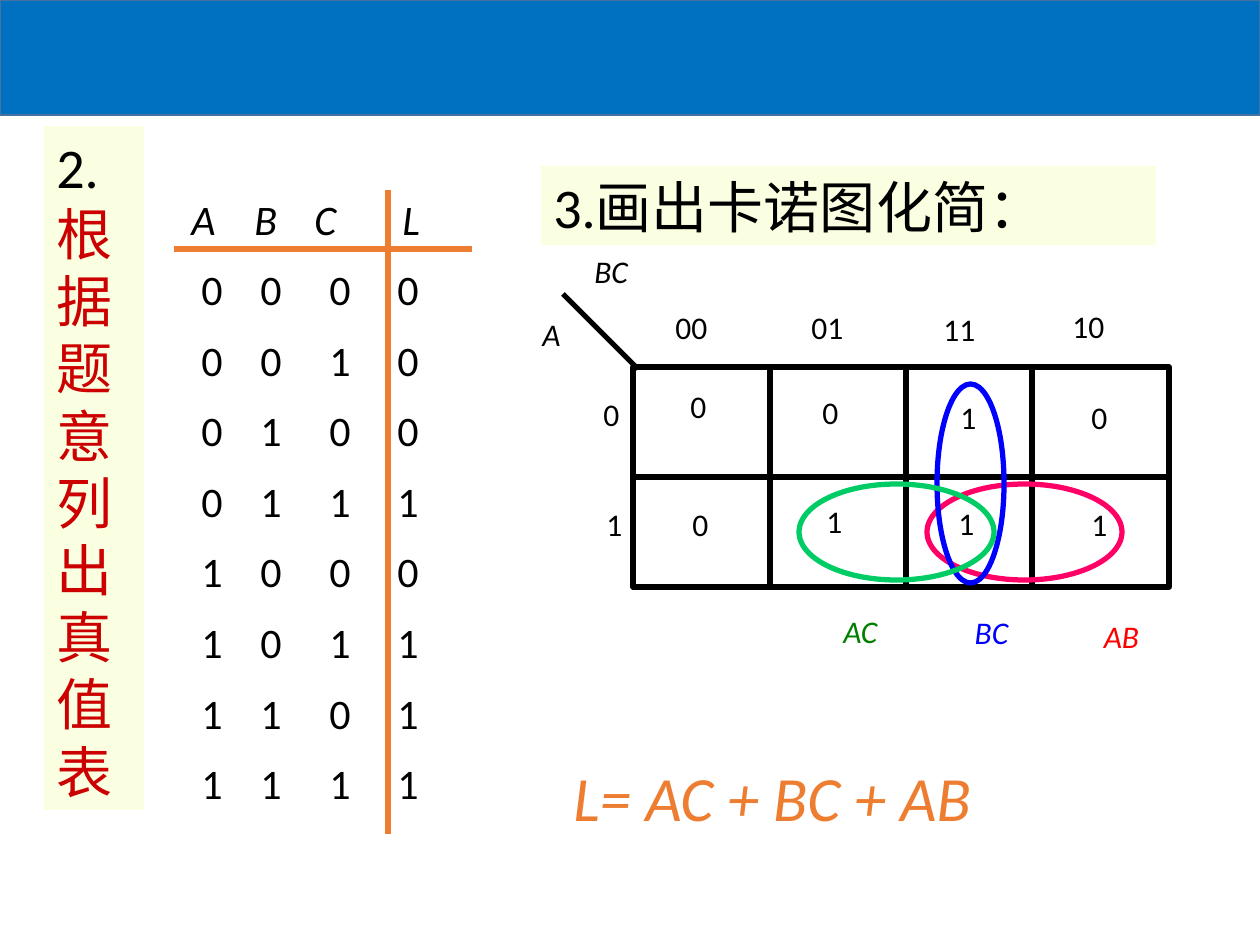
from itertools import product

from lxml import etree
from pptx import Presentation
from pptx.dml.color import RGBColor
from pptx.enum.shapes import MSO_CONNECTOR, MSO_SHAPE
from pptx.enum.text import MSO_ANCHOR, PP_ALIGN
from pptx.oxml.ns import qn
from pptx.util import Pt

STRAIGHT = MSO_CONNECTOR.STRAIGHT
RECTANGLE, OVAL = MSO_SHAPE.RECTANGLE, MSO_SHAPE.OVAL
TOP, MIDDLE = MSO_ANCHOR.TOP, MSO_ANCHOR.MIDDLE
LEFT, CENTER = PP_ALIGN.LEFT, PP_ALIGN.CENTER
PX = 914400 / 126
COLORS = {
    "bar": "0070C0", "bar line": "43739E", "cream": "FAFFE1", "black": "000000",
    "dark red": "CC0000", "orange": "ED7D31", "red": "FF0000", "pink": "FF0066",
    "blue": "0000FF", "green": "008000", "light green": "00CC66",
}

presentation = Presentation()
presentation.slide_width = round(1260 * PX)
presentation.slide_height = round(945 * PX)
slide = presentation.slides.add_slide(presentation.slide_layouts[6])
shapes = slide.shapes


def emu(*lengths):
    return [round(length * PX) for length in lengths]


def color(name):
    return RGBColor.from_string(COLORS[name])


def add_shape(kind, box, fill=None, line=None, width=3):
    shape = shapes.add_shape(kind, *emu(*box))
    shape.shadow.inherit = False
    if fill:
        shape.fill.solid()
        shape.fill.fore_color.rgb = color(fill)
    else:
        shape.fill.background()
    if line:
        shape.line.color.rgb = color(line)
        shape.line.width = Pt(width)
    else:
        shape.line.fill.background()
    return shape


# Each text: shape, size, colour, italic, alignment, anchor, wrap, lines
texts = []

# Header bar
add_shape(RECTANGLE, (0, 0, 1260, 115), "bar", "bar line", 1)

# Step headings
step_two = add_shape(RECTANGLE, (44, 126, 100, 684), "cream")
step_three = add_shape(RECTANGLE, (541, 166, 615, 79), "cream")
texts.append((step_two, 32, "black", False, LEFT, TOP, True, ["2."]))
texts.append((step_three, 32, "black", False, LEFT, TOP, True, ["3.画出卡诺图化简："]))

# Truth table: L is 1 when at least two inputs are 1
truth_rows = ["A\tB\tC\tL"]
for bits in product((0, 1), repeat=3):
    truth_rows.append("\t" + "\t".join(str(bit) for bit in (*bits, int(sum(bits) >= 2))))
truth_table = shapes.add_textbox(*emu(179, 187, 305, 674))
for index in range(len(truth_rows)):
    frame = truth_table.text_frame
    paragraph = frame.paragraphs[0] if index == 0 else frame.add_paragraph()
    stops = (63, 123, 211) if index == 0 else (10, 69, 138, 206)
    tab_list = etree.SubElement(paragraph._p.get_or_add_pPr(), qn("a:tabLst"))
    for stop in emu(*stops):
        etree.SubElement(tab_list, qn("a:tab"), pos=str(stop), algn="l")
texts.append((truth_table, 24, "black", False, LEFT, TOP, True, truth_rows))

# Karnaugh map outline
map_left, map_top, map_width, map_height = 633, 367, 536, 220
map_bottom = map_top + map_height
karnaugh_map = add_shape(RECTANGLE, (map_left, map_top, map_width, map_height), line="black")

# Rules of the truth table and of the map
lines = [
    ((174, 249, 472, 249), "orange"),
    ((388, 190, 388, 834), "orange"),
    ((638, 369, 563, 294), "black"),
    ((map_left, 477, map_left + map_width, 477), "black"),
]
lines += [((x, map_top, x, map_bottom), "black") for x in (770, 906, 1032)]
for ends, line_color in lines:
    connector = shapes.add_connector(STRAIGHT, *emu(*ends))
    connector.line.color.rgb = color(line_color)
    connector.line.width = Pt(3)
    etree.SubElement(connector._element.spPr, qn("a:effectLst"))
    if ends[0] == map_left:
        connector.begin_connect(karnaugh_map, 1)
        connector.end_connect(karnaugh_map, 3)

# Map labels and cell values: text, left, top, width
map_texts = [
    ("A", 530, 309, 72), ("BC", 582, 246, 107),
    ("0", 591, 389, 83), ("1", 594, 499, 72),
    ("00", 663, 302, 92), ("01", 799, 302, 92), ("11", 931, 304, 92), ("10", 1060, 301, 92),
    ("0", 678, 381, 48), ("0", 810, 387, 48), ("1", 948, 392, 48), ("0", 1079, 392, 48),
    ("0", 680, 499, 48), ("1", 814, 496, 48), ("1", 946, 498, 48), ("1", 1079, 499, 48),
]
for text, left, top, width in map_texts:
    label = shapes.add_textbox(*emu(left, top, width, 72))
    texts.append((label, 18, "black", text.isalpha(), LEFT, TOP, True, [text]))

# Circled groups and their product terms
groups = [
    ("AB", (927, 484, 195, 96), "pink", "red", (1076, 600)),
    ("BC", (937, 384, 67, 199), "blue", "blue", (946, 596)),
    ("AC", (799, 484, 195, 96), "light green", "green", (815, 595)),
]
for term, loop, loop_color, term_color, (left, top) in groups:
    add_shape(OVAL, loop, line=loop_color)
    label = shapes.add_textbox(*emu(left, top, 91, 72))
    texts.append((label, 18, term_color, True, CENTER, MIDDLE, False, [term]))

# Simplified expression
result = shapes.add_textbox(*emu(561, 752, 538, 88))
texts.append((result, 36, "orange", True, LEFT, TOP, True, ["L= AC + BC + AB"]))

# Fill in and format all text
for shape, size, text_color, italic, alignment, anchor, wrap, rows in texts:
    frame = shape.text_frame
    frame.word_wrap = wrap
    frame.vertical_anchor = anchor
    for index, (paragraph, row) in enumerate(zip(frame.paragraphs, rows)):
        paragraph.add_run().text = row
        paragraph.alignment = alignment
        if index:
            paragraph.space_before = Pt(11.5)
        paragraph.font.name = "Calibri"
        paragraph.font.size = Pt(size)
        paragraph.font.italic = italic
        paragraph.font.color.rgb = color(text_color)

# Exceptions within a text: red step wording, italic table header
step_run = step_two.text_frame.paragraphs[0].add_run()
step_run.text = "根据题意列出真值表"
step_run.font.color.rgb = color("dark red")
truth_table.text_frame.paragraphs[0].font.italic = True

presentation.save("out.pptx")
